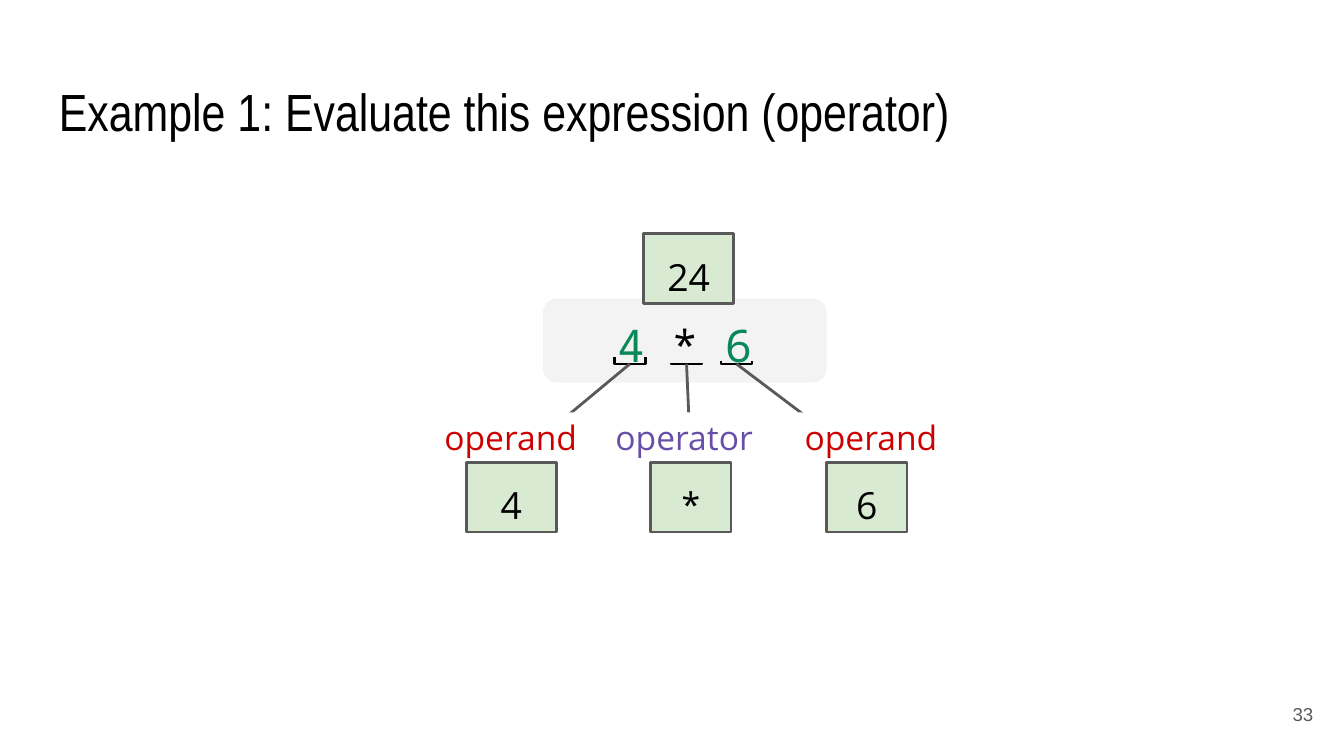
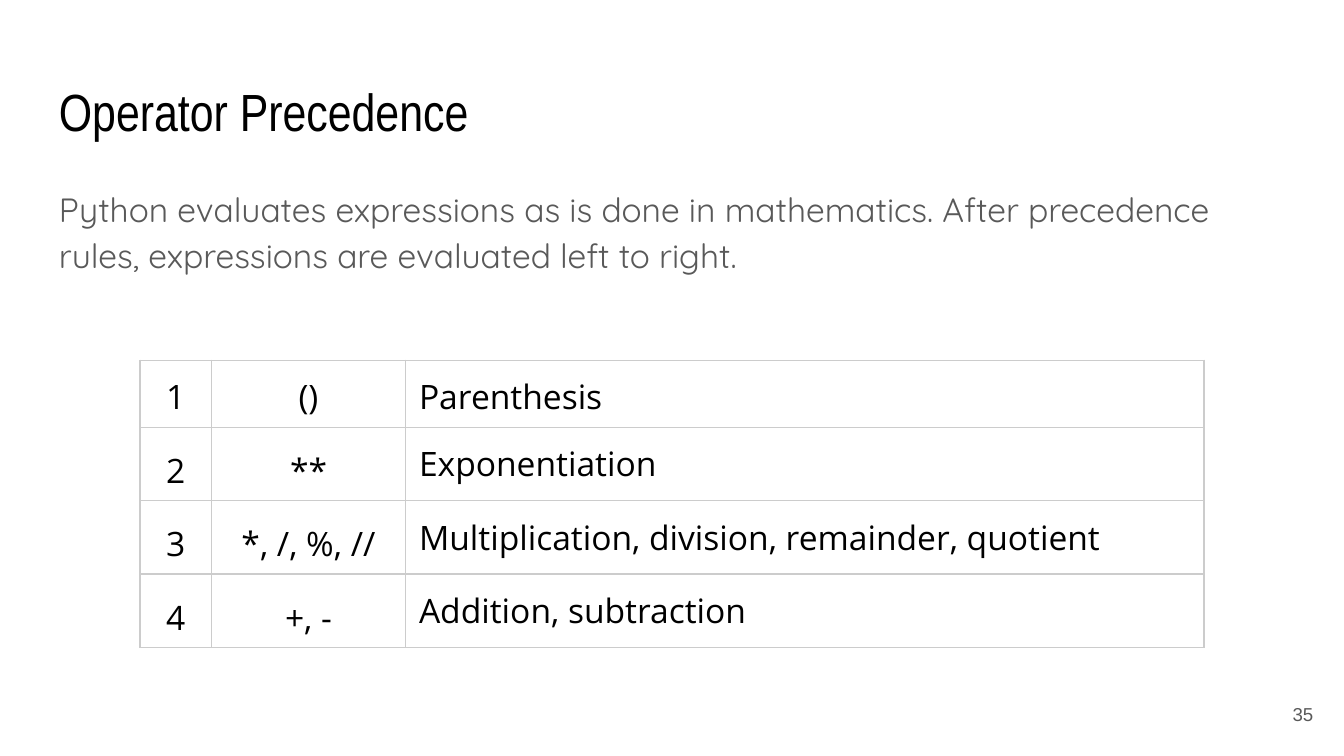
from pptx import Presentation
from pptx.dml.color import RGBColor
from pptx.enum.shapes import MSO_CONNECTOR, MSO_SHAPE
from pptx.enum.text import MSO_ANCHOR, PP_ALIGN
from pptx.oxml.ns import qn
from pptx.util import Pt
from lxml.etree import SubElement

# Colours and fonts
BLACK = RGBColor(0x00, 0x00, 0x00)
WHITE = RGBColor(0xFF, 0xFF, 0xFF)
GRAY = RGBColor(0x59, 0x59, 0x59)
PANEL = RGBColor(0xF3, 0xF3, 0xF3)
GREEN = RGBColor(0x09, 0x88, 0x5A)
MINT = RGBColor(0xD9, 0xEA, 0xD3)
RED = RGBColor(0xCC, 0x00, 0x00)
PURPLE = RGBColor(0x67, 0x4E, 0xA7)
BORDER = "CCCCCC"
SANS, MONO = "Open Sans", "Noto Sans Mono"

# Text formats
TITLE = dict(name="Arial Narrow", size=Pt(28))
NUMBER = dict(name="Arial", size=Pt(10))
BODY = dict(name="Quicksand", size=Pt(18))
CODE = dict(name=MONO, size=Pt(24))
LABEL = dict(name=SANS, size=Pt(18))
CENTER = dict(alignment=PP_ALIGN.CENTER)
LOOSE = dict(line_spacing=1.15)
INSET = Pt(7.2)

# Content of the expression slide
EXPR_TITLE, EXPR_NUMBER = "Example 1: Evaluate this expression (operator)", "33"
EXPRESSION = [("4 ", GREEN), ("* ", BLACK), ("6", GREEN)]
RESULT = "24"
# value, font, role, colour, bracket centre, bracket depth, label centre, box centre, box width
PARTS = [
    ("4", SANS, "operand", RED, 337.4, 3.6, 273.6, 274, 48.2),
    ("6", SANS, "operand", RED, 394.6, 1.4, 466.6, 464.4, 43.2),
    ("*", MONO, "operator", PURPLE, 367.8, 0.7, 366.5, 370.1, 43.2),
]
BRACKET_BOTTOM, BRACKET_SPAN = 195, 16.6
LABEL_TOP, LABEL_W, LABEL_H = 221, 95, 26
BOX_TOP, BOX_H = 247.7, 37.4

# Content of the precedence slide
PREC_TITLE, PREC_NUMBER = "Operator Precedence", "35"
INTRO = ("Python evaluates expressions as is done in mathematics. "
         "After precedence rules, expressions are evaluated left to right.")
PRECEDENCE = [
    ("1", "()", "Parenthesis"),
    ("2", "**", "Exponentiation"),
    ("3", "*, /, %, //", "Multiplication, division, remainder, quotient"),
    ("4", "+, -", "Addition, subtraction"),
]
COLUMNS = [38.3, 104, 427.7]
ROWS = [20.2, 22.3, 22.3, 22.3]


def apply(target, formats):
    for key, value in formats.items():
        setattr(target, key, value)


def write(tf, runs, font, para=None, anchor=MSO_ANCHOR.TOP):
    apply(tf, dict(word_wrap=True, vertical_anchor=anchor, margin_left=INSET,
                   margin_right=INSET, margin_top=INSET, margin_bottom=INSET))
    p = tf.paragraphs[0]
    apply(p, para or {})
    for text, color in runs:
        r = p.add_run()
        r.text = text
        apply(r.font, font)
        r.font.color.rgb = color


def add_text(s, at, *args, **kwargs):
    write(s.shapes.add_textbox(*map(Pt, at)).text_frame, *args, **kwargs)


def add_block(s, kind, at, fill=None, line=None):
    sp = s.shapes.add_shape(kind, *map(Pt, at))
    sp.shadow.inherit = False
    if fill is None:
        sp.fill.background()
    else:
        sp.fill.solid()
        sp.fill.fore_color.rgb = fill
    if line is None:
        sp.line.fill.background()
    else:
        sp.line.color.rgb = line
        sp.line.width = Pt(1.5)
    return sp


def add_value(s, text, font, center, top, width):
    at = (center - width / 2, top, width, BOX_H)
    sp = add_block(s, MSO_SHAPE.RECTANGLE, at, MINT, GRAY)
    write(sp.text_frame, [(text, BLACK)], dict(name=font, size=Pt(20)), CENTER | LOOSE)
    return sp


def add_part(s, value, font, role, color, cx, depth, label_cx, box_cx, box_w):
    # Bracket under the symbol: an upright shape turned a quarter
    at = (cx - depth / 2, BRACKET_BOTTOM - (depth + BRACKET_SPAN) / 2, depth, BRACKET_SPAN)
    bracket = add_block(s, MSO_SHAPE.RIGHT_BRACKET, at, line=BLACK)
    bracket.adjustments[0] = 0
    bracket.rotation = 90
    # Line down to the value box
    line = s.shapes.add_connector(MSO_CONNECTOR.STRAIGHT, Pt(cx), Pt(BRACKET_BOTTOM),
                                  Pt(box_cx), Pt(BOX_TOP))
    line.line.color.rgb = GRAY
    line.line.width = Pt(1.5)
    SubElement(line._element.spPr, qn("a:effectLst"))
    line.end_connect(add_value(s, value, font, box_cx, BOX_TOP, box_w), 0)
    # Role label
    at = (label_cx - LABEL_W / 2, LABEL_TOP, LABEL_W, LABEL_H)
    label = add_block(s, MSO_SHAPE.RECTANGLE, at, WHITE)
    write(label.text_frame, [(role, color)], LABEL, CENTER, MSO_ANCHOR.MIDDLE)


def add_borders(cell):
    tcPr = cell._tc.get_or_add_tcPr()
    for i, side in enumerate(("a:lnL", "a:lnR", "a:lnT", "a:lnB")):
        ln = tcPr.makeelement(qn(side), {"w": str(Pt(0.75))})
        fill = SubElement(ln, qn("a:solidFill"))
        SubElement(fill, qn("a:srgbClr"), val=BORDER)
        tcPr.insert(i, ln)


def add_slide(prs, title, number):
    s = prs.slides.add_slide(prs.slide_layouts[6])
    s.background.fill.solid()
    s.background.fill.fore_color.rgb = WHITE
    add_text(s, (24.5, 35, 671, 45), [(title, BLACK)], TITLE)
    add_text(s, (667.4, 367.2, 43.2, 31), [(number, GRAY)], NUMBER,
             dict(alignment=PP_ALIGN.RIGHT), MSO_ANCHOR.MIDDLE)
    return s


def build_expression(prs):
    s = add_slide(prs, EXPR_TITLE, EXPR_NUMBER)
    panel = add_block(s, MSO_SHAPE.ROUNDED_RECTANGLE, (290.9, 160, 152, 45), PANEL)
    write(panel.text_frame, EXPRESSION, CODE, CENTER | LOOSE, MSO_ANCHOR.MIDDLE)
    add_value(s, RESULT, SANS, 369, 125.3, 48.2)
    for part in PARTS:
        add_part(s, *part)


def build_precedence(prs):
    s = add_slide(prs, PREC_TITLE, PREC_NUMBER)
    add_text(s, (24.5, 90.7, 671, 86.4), [(INTRO, GRAY)], BODY,
             LOOSE | dict(space_after=Pt(16)))
    # Precedence table
    table = s.shapes.add_table(len(ROWS), len(COLUMNS), Pt(75), Pt(193),
                               Pt(sum(COLUMNS)), Pt(sum(ROWS))).table
    apply(table, dict(first_row=False, horz_banding=False))
    for column, width in zip(table.columns, COLUMNS):
        column.width = Pt(width)
    for i, (height, texts) in enumerate(zip(ROWS, PRECEDENCE)):
        table.rows[i].height = Pt(height)
        for j, text in enumerate(texts):
            cell = table.cell(i, j)
            cell.fill.background()
            add_borders(cell)
            para = {} if j == 2 else CENTER | (LOOSE if i else {})
            apply(cell, dict(margin_left=INSET, margin_right=INSET,
                             margin_top=INSET, margin_bottom=INSET))
            p = cell.text_frame.paragraphs[0]
            apply(p, para)
            r = p.add_run()
            r.text = text
            apply(r.font, LABEL)
            r.font.color.rgb = BLACK


def main():
    prs = Presentation()
    prs.slide_width, prs.slide_height = Pt(720), Pt(405)
    build_expression(prs)
    build_precedence(prs)
    prs.save("out.pptx")


if __name__ == "__main__":
    main()
